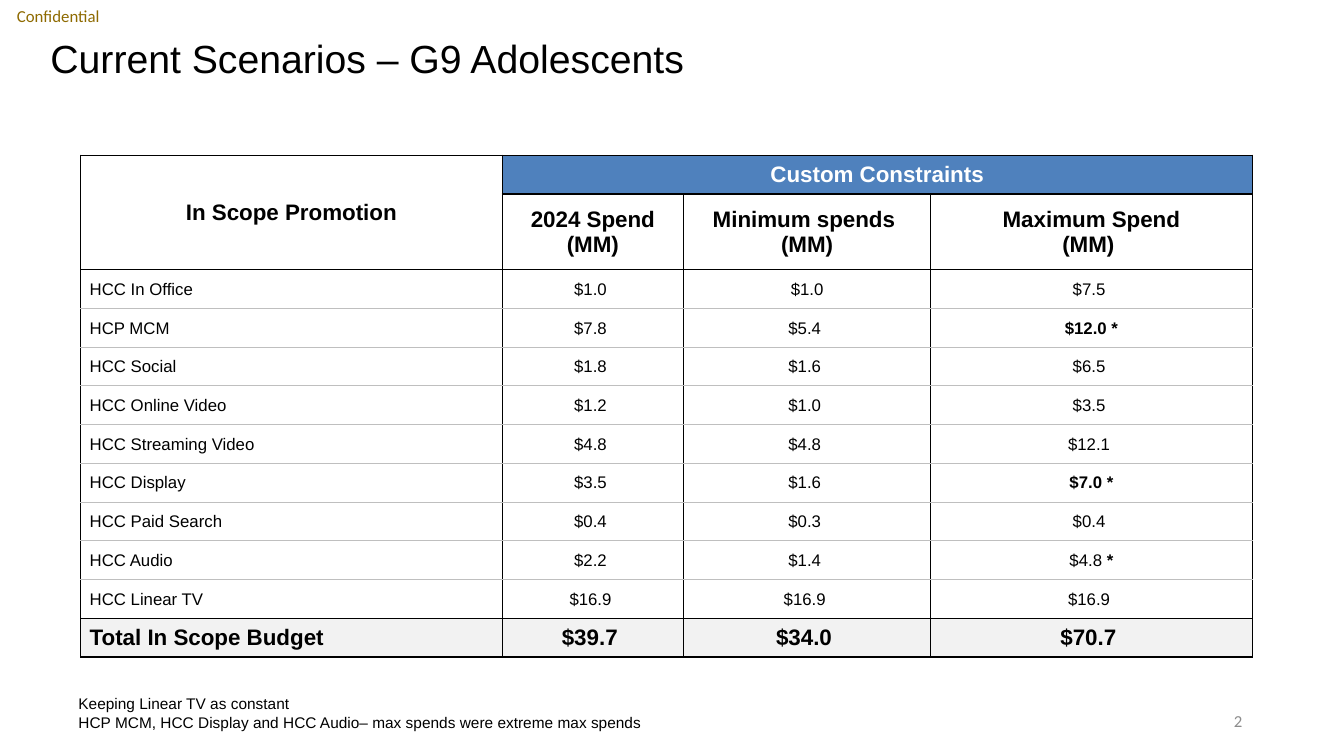
from dataclasses import dataclass
from typing import NamedTuple

from lxml.etree import SubElement
from pptx import Presentation
from pptx.dml.color import RGBColor
from pptx.enum.text import MSO_ANCHOR as Anchor, MSO_AUTO_SIZE as AutoSize, PP_ALIGN as Align
from pptx.oxml.ns import qn
from pptx.util import Inches, Pt


@dataclass(frozen=True)
class Theme:
    font: str = "Arial"
    label_font: str = "Calibri"
    black: str = "000000"
    white: str = "FFFFFF"
    blue: str = "4F81BD"
    total_fill: str = "F2F2F2"
    grid: str = "BFBFBF"
    confidential: str = "8E6A00"
    page_number: str = "8C8C8C"
    title_size: int = 28
    heading_size: int = 16
    body_size: int = 12
    note_size: int = 11
    heavy_line: float = 1
    light_line: float = 0.5


class Promotion(NamedTuple):
    name: str
    spend: str
    minimum: str
    maximum: str
    bold_maximum: bool = False
    bold_mark: str = ""


class Box(NamedTuple):
    left: float
    top: float
    width: float
    height: float

    def lengths(self):
        return [Inches(value) for value in self]


THEME = Theme()
COLUMN_WIDTHS = (4.18, 1.8, 2.45, 3.19)
TABLE_BOX = Box(0.8, 1.54, sum(COLUMN_WIDTHS), 4.98)
SUBHEADING_HEIGHT = 0.75
SUBHEADINGS = ("2024 Spend\n(MM)", "Minimum spends \n(MM)", "Maximum Spend\n(MM) ")
PROMOTIONS = (
    Promotion("HCC In Office", "$1.0 ", "$1.0", "$7.5 "),
    Promotion("HCP MCM", "$7.8 ", "$5.4 ", "$12.0 *", bold_maximum=True),
    Promotion("HCC Social", "$1.8 ", "$1.6 ", "$6.5 "),
    Promotion("HCC Online Video", "$1.2 ", "$1.0 ", "$3.5 "),
    Promotion("HCC Streaming Video", "$4.8 ", "$4.8 ", "$12.1 "),
    Promotion("HCC Display", "$3.5 ", "$1.6 ", "$7.0 *", bold_maximum=True),
    Promotion("HCC Paid Search", "$0.4 ", "$0.3 ", "$0.4 "),
    Promotion("HCC Audio", "$2.2 ", "$1.4 ", "$4.8 ", bold_mark="*"),
    Promotion("HCC Linear TV", "$16.9 ", "$16.9 ", "$16.9 "),
)
TOTAL = Promotion("Total In Scope Budget", "$39.7 ", "$34.0 ", "$70.7 ")


def write(frame, text: str, *, size: float, font: str = THEME.font, color: str = THEME.black,
          bold: bool = False, align=Align.LEFT, spacing: float = 1.0, bold_tail: str = "") -> None:
    """Write one paragraph per line, ending with an optional bold run."""
    for number, line in enumerate(text.split("\n")):
        paragraph = frame.add_paragraph() if number else frame.paragraphs[0]
        paragraph.alignment = align
        paragraph.line_spacing = spacing
        for part, is_bold in ((line, bold), (bold_tail, True)):
            if part:
                run = paragraph.add_run()
                run.text = part
                run.font.size = Pt(size)
                run.font.name = font
                run.font.bold = is_bold
                run.font.color.rgb = RGBColor.from_string(color)


def add_text(slide, box: Box, text: str, *, anchor=Anchor.MIDDLE, **style) -> None:
    frame = slide.shapes.add_textbox(*box.lengths()).text_frame
    frame.word_wrap = True
    frame.vertical_anchor = anchor
    write(frame, text, **style)


def set_borders(cell, light_top: bool, light_bottom: bool) -> None:
    properties = cell._tc.get_or_add_tcPr()
    for side, light in (("L", False), ("R", False), ("T", light_top), ("B", light_bottom)):
        width = THEME.light_line if light else THEME.heavy_line
        line = SubElement(properties, qn(f"a:ln{side}"), w=str(Pt(width)))
        fill = SubElement(line, qn("a:solidFill"))
        SubElement(fill, qn("a:srgbClr"), val=THEME.grid if light else THEME.black)


def format_cell(cell, row: int, column: int, total_row: int) -> None:
    first_row = 2
    set_borders(cell, first_row < row < total_row, first_row <= row < total_row - 1)
    cell.vertical_anchor = Anchor.MIDDLE
    indented = column == 0 and row >= first_row
    cell.margin_left = Inches(0.09 if indented else 0.01)
    cell.margin_top = cell.margin_right = Inches(0.01)
    cell.margin_bottom = 0
    fill = THEME.total_fill if row == total_row else THEME.blue if row == 0 and column else None
    if fill:
        cell.fill.solid()
        cell.fill.fore_color.rgb = RGBColor.from_string(fill)
    else:
        cell.fill.background()


def write_promotion(table, row: int, promotion: Promotion, size: float, bold: bool) -> None:
    write(table.cell(row, 0).text_frame, promotion.name, size=size, bold=bold)
    amounts = (promotion.spend, promotion.minimum, promotion.maximum)
    for column, amount in enumerate(amounts, start=1):
        is_maximum = column == len(amounts)
        write(table.cell(row, column).text_frame, amount, size=size, align=Align.CENTER,
              bold=bold or (is_maximum and promotion.bold_maximum),
              bold_tail=promotion.bold_mark if is_maximum else "")


def add_budget_table(slide) -> None:
    total_row = len(PROMOTIONS) + 2
    table = slide.shapes.add_table(total_row + 1, len(COLUMN_WIDTHS), *TABLE_BOX.lengths()).table
    table.first_row = table.horz_banding = False
    for column, width in zip(table.columns, COLUMN_WIDTHS):
        column.width = Inches(width)
    row_height = (TABLE_BOX.height - SUBHEADING_HEIGHT) / total_row
    for row, line in enumerate(table.rows):
        line.height = Inches(SUBHEADING_HEIGHT if row == 1 else row_height)
        for column, cell in enumerate(line.cells):
            format_cell(cell, row, column, total_row)
    table.cell(0, 0).merge(table.cell(1, 0))
    table.cell(0, 1).merge(table.cell(0, 3))

    heading = dict(size=THEME.heading_size, bold=True, align=Align.CENTER)
    write(table.cell(0, 0).text_frame, "In Scope Promotion", **heading)
    write(table.cell(0, 1).text_frame, "Custom Constraints", color=THEME.white, **heading)
    for column, subheading in enumerate(SUBHEADINGS, start=1):
        write(table.cell(1, column).text_frame, subheading, **heading)
    for row, promotion in enumerate(PROMOTIONS, start=2):
        write_promotion(table, row, promotion, THEME.body_size, bold=False)
    write_promotion(table, total_row, TOTAL, THEME.heading_size, bold=True)


def add_title(slide, text: str) -> None:
    title = slide.shapes.title
    title.left, title.top, title.width, title.height = Box(0.4, 0.4, 12, 0.4).lengths()
    title.text_frame.auto_size = AutoSize.NONE
    title.text_frame.vertical_anchor = Anchor.MIDDLE
    write(title.text_frame, text, size=THEME.title_size, spacing=0.9)


def main() -> None:
    deck = Presentation()
    deck.slide_width, deck.slide_height = Inches(13.33), Inches(7.5)
    slide = deck.slides.add_slide(deck.slide_layouts[5])
    add_text(slide, Box(0.07, 0, 1.17, 0.32), "Confidential", size=THEME.body_size,
             font=THEME.label_font, color=THEME.confidential)
    add_title(slide, "Current Scenarios – G9 Adolescents")
    add_text(slide, Box(9.42, 6.95, 3, 0.4), "2", size=THEME.body_size,
             font=THEME.label_font, color=THEME.page_number, align=Align.RIGHT)
    add_budget_table(slide)
    add_text(slide, Box(0.68, 6.84, 7, 0.47),
             "Keeping Linear TV as constant\n"
             "HCP MCM, HCC Display and HCC Audio– max spends were extreme max spends",
             size=THEME.note_size, anchor=Anchor.TOP)
    deck.save("out.pptx")


if __name__ == "__main__":
    main()
